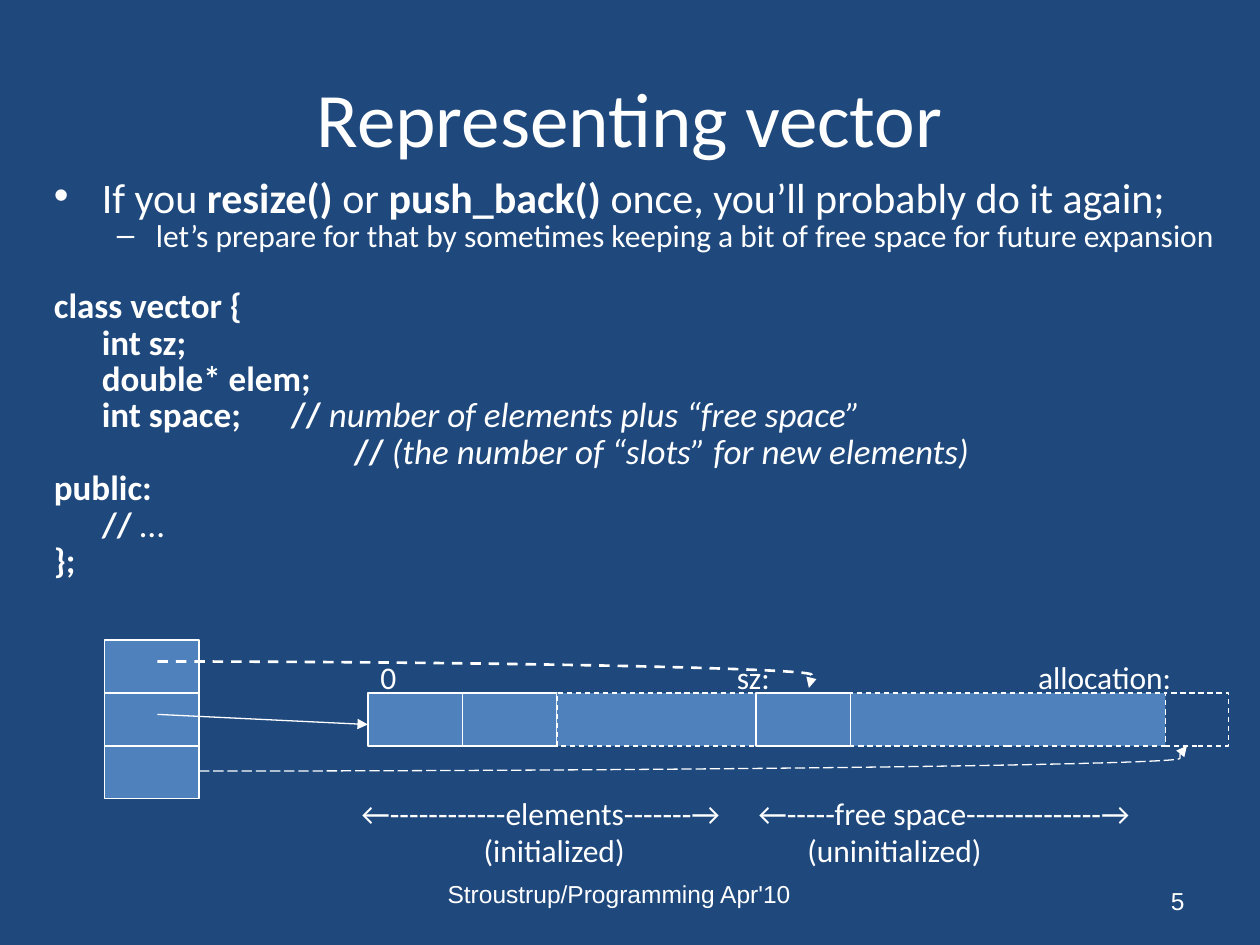
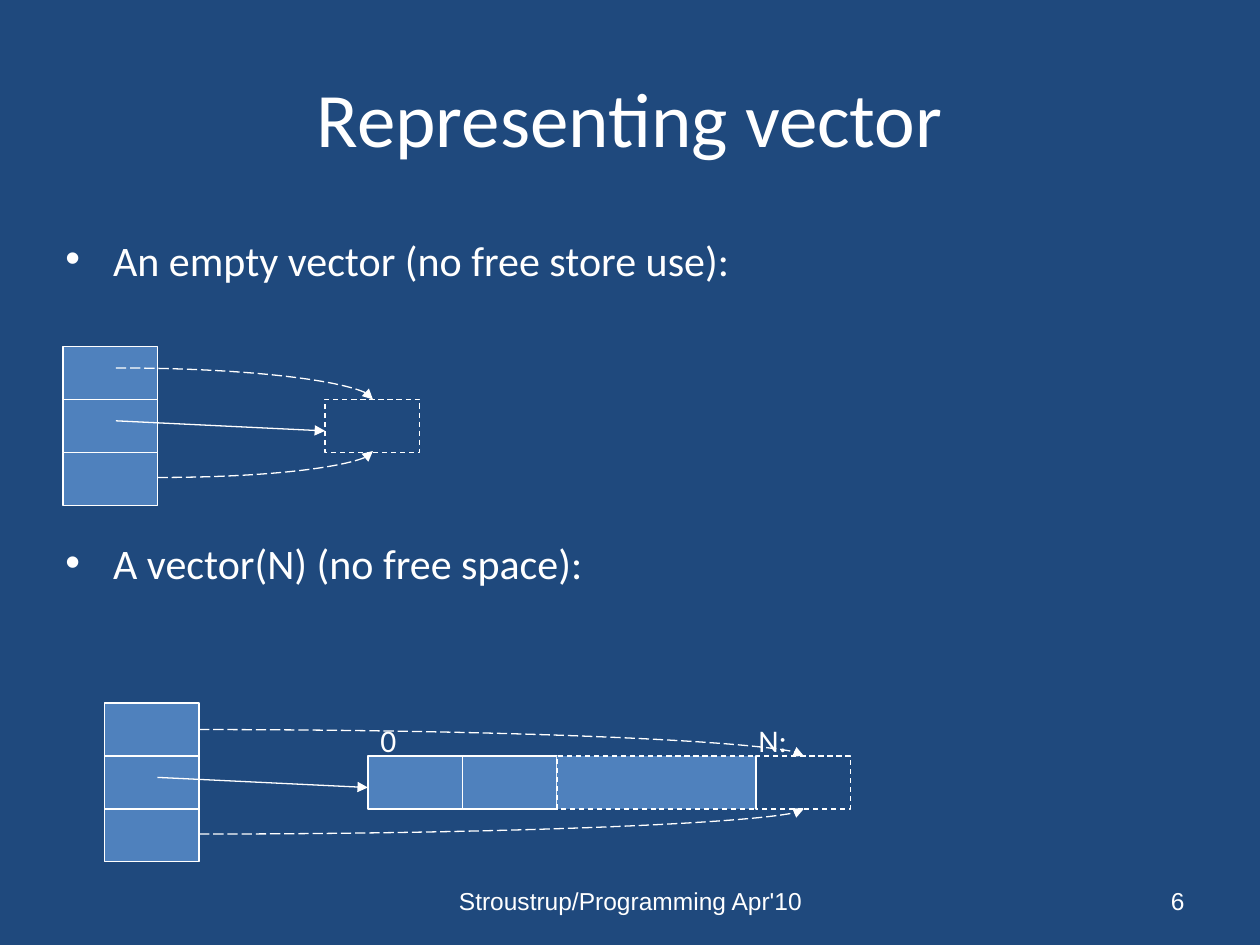
from lxml import etree
from pptx import Presentation
from pptx.dml.color import RGBColor
from pptx.enum.dml import MSO_LINE
from pptx.enum.shapes import MSO_CONNECTOR, MSO_SHAPE
from pptx.enum.text import MSO_ANCHOR, PP_ALIGN
from pptx.oxml.ns import qn
from pptx.util import Inches, Pt

NAVY = RGBColor(0x1F, 0x49, 0x7D)
BLUE = RGBColor(0x4F, 0x81, 0xBD)
WHITE = RGBColor(0xFF, 0xFF, 0xFF)

TITLE = "Representing vector"
FOOTER = "Stroustrup/Programming Apr'10"
CELL_WIDTH, CELL_HEIGHT = 0.75, 0.42
SOLID, DASHED, LONG_DASHED = None, MSO_LINE.DASH, MSO_LINE.LONG_DASH

# Paragraph kinds: size, left margin, first-line indent, bullet
KINDS = {
    "point": (24, 0.38, -0.38, "•"),
    "detail": (18, 0.81, -0.31, "–"),
    "code": (20, 0, 0, None),
    "member": (20, 0.38, 0, None),
    "comment": (20, 2.38, 0, None),
}

# Body paragraphs: kind, extra space before in points, runs of (text, style);
# style holds "b" for bold and "i" for italic.
# Cells: left, width, filled, dash.  Labels: left, text.
# Curves: start, end, preset, adjustment, width in points, dash.
SLIDES = [
    {
        "number": "5",
        "footer_box": (3.33, 6.83, 3.17, 0.52),
        "body_box": (0.33, 1.42, 9.5, 3.83),
        "body": [
            ("point", 0, [("If you ", ""), ("resize()", "b"), (" or ", ""),
                          ("push_back()", "b"),
                          (" once, you’ll probably do it again;", "")]),
            ("detail", 0, [("let’s prepare for that by sometimes keeping a bit "
                            "of free space for future expansion", "")]),
            ("code", 20, [("class vector {", "b")]),
            ("member", 0, [("int sz;", "b")]),
            ("member", 0, [("double* elem;", "b")]),
            ("member", 0, [("int space;\t// ", "b"),
                           ("number of elements plus “free space”", "i")]),
            ("comment", 0, [("// ", "b"),
                            ("(the number of “slots” for new elements)", "i")]),
            ("code", 0, [("public:", "b")]),
            ("member", 0, [("// ", "b"), ("…", "")]),
            ("code", 0, [("};", "b")]),
        ],
        "vectors": [{
            "header_left": 0.83,
            "row_top": 5.5,
            "cells": [
                (2.92, CELL_WIDTH, True, SOLID),
                (3.67, CELL_WIDTH, True, SOLID),
                (4.42, 1.58, True, DASHED),
                (6.75, 2.5, True, DASHED),
                (6, CELL_WIDTH, True, SOLID),
                (9.25, 0.5, False, DASHED),
            ],
            "labels": [(2.92, "0"), (5.75, "sz:"), (8.14, "allocation:")],
            "curves": [
                ((1.58, 6.12), (9.42, 5.92), "curvedConnector3", 99300,
                 0.75, LONG_DASHED),
                ((1.25, 5.25), (6.42, 5.46), "curvedConnector3", 100400,
                 1.5, DASHED),
            ],
        }],
        # left, width, span line, state line, indent of the state line
        "spans": [
            (2.77, 3.4, "←------------elements-------→", "(initialized)", 0.97),
            (5.92, 3.83, "←-----free space--------------→",
             "(uninitialized)", 0.39),
        ],
    },
    {
        "number": "6",
        "footer_box": (3.42, 6.95, 3.17, 0.4),
        "body_box": (0.42, 1.92, 5.5, 3.17),
        "body": [
            ("point", 0, [("An empty vector (no free store use):", "")]),
            ("point", 148.5, [("A vector(N) (no free space):", "")]),
        ],
        "vectors": [
            {
                "header_left": 0.83,
                "row_top": 6,
                "cells": [
                    (2.92, CELL_WIDTH, True, SOLID),
                    (3.67, CELL_WIDTH, True, SOLID),
                    (4.42, 1.58, True, DASHED),
                    (6, CELL_WIDTH, False, DASHED),
                ],
                "labels": [(2.92, "0"), (5.92, "N:")],
                "curves": [
                    ((1.58, 5.79), (6.38, 6), "curvedConnector2", None,
                     0.75, LONG_DASHED),
                    ((1.58, 6.62), (6.38, 6.42), "curvedConnector2", None,
                     0.75, LONG_DASHED),
                ],
            },
            {
                "header_left": 0.5,
                "row_top": 3.17,
                "cells": [(2.58, CELL_WIDTH, False, DASHED)],
                "labels": [],
                "curves": [
                    ((0.92, 2.92), (2.96, 3.17), "curvedConnector2", None,
                     0.75, LONG_DASHED),
                    ((1.25, 3.79), (2.96, 3.58), "curvedConnector2", None,
                     0.75, LONG_DASHED),
                ],
            },
        ],
        "spans": [],
    },
]


def set_font(paragraph, size, name="Calibri"):
    paragraph.font.size = Pt(size)
    paragraph.font.name = name
    paragraph.font.color.rgb = WHITE


def set_indent(paragraph, left, first=0, bullet=None):
    properties = paragraph._p.get_or_add_pPr()
    properties.set("marL", str(Inches(left)))
    properties.set("indent", str(Inches(first)))
    if bullet:
        etree.SubElement(properties, qn("a:buFont")).set("typeface", "Arial")
        etree.SubElement(properties, qn("a:buChar")).set("char", bullet)


def add_frame(slide, box, anchor=MSO_ANCHOR.TOP):
    frame = slide.shapes.add_textbox(*map(Inches, box)).text_frame
    frame.word_wrap = True
    frame.vertical_anchor = anchor
    return frame


def add_text(slide, box, text, size, name="Calibri", align=PP_ALIGN.LEFT,
             anchor=MSO_ANCHOR.TOP):
    frame = add_frame(slide, box, anchor)
    frame.text = text
    for paragraph in frame.paragraphs:
        paragraph.alignment = align
        set_font(paragraph, size, name)
    return frame


def add_body(slide, box, content):
    frame = add_frame(slide, box)
    for index, (kind, gap, runs) in enumerate(content):
        paragraph = frame.add_paragraph() if index else frame.paragraphs[0]
        size, left, first, bullet = KINDS[kind]
        set_indent(paragraph, left, first, bullet)
        paragraph.line_spacing = 0.7
        paragraph.space_before = Pt(0.2 * size + gap)
        set_font(paragraph, size)
        for text, style in runs:
            run = paragraph.add_run()
            run.text = text
            run.font.bold = "b" in style
            run.font.italic = "i" in style


def style_line(line, width, dash):
    line.color.rgb = WHITE
    line.width = Pt(width)
    if dash:
        line.dash_style = dash


def add_cell(slide, left, top, width=CELL_WIDTH, filled=True, dash=SOLID):
    cell = slide.shapes.add_shape(
        MSO_SHAPE.RECTANGLE, *map(Inches, (left, top, width, CELL_HEIGHT)))
    cell.shadow.inherit = False
    if filled:
        cell.fill.solid()
        cell.fill.fore_color.rgb = BLUE
    else:
        cell.fill.background()
    style_line(cell.line, 0.75, dash)


def add_arrow(slide, start, end, preset="line", adjustment=None, width=0.75,
              dash=SOLID):
    kind = MSO_CONNECTOR.STRAIGHT if preset == "line" else MSO_CONNECTOR.CURVE
    arrow = slide.shapes.add_connector(kind, *map(Inches, start + end))
    style_line(arrow.line, width, dash)
    properties = arrow._element.spPr
    geometry = properties.find(qn("a:prstGeom"))
    geometry.set("prst", preset)
    if adjustment:
        guide = etree.SubElement(geometry.find(qn("a:avLst")), qn("a:gd"))
        guide.set("name", "adj1")
        guide.set("fmla", f"val {adjustment}")
    outline = properties.find(qn("a:ln"))
    etree.SubElement(outline, qn("a:tailEnd")).set("type", "triangle")
    etree.SubElement(properties, qn("a:effectLst"))


def add_vector(slide, vector):
    """Draw the three-field header, its row of elements and the pointers."""
    left, top = vector["header_left"], vector["row_top"]
    for row in (-1, 0, 1):
        add_cell(slide, left, top + row * CELL_HEIGHT)
    for cell_left, width, filled, dash in vector["cells"]:
        add_cell(slide, cell_left, top, width, filled, dash)
    first_cell_left = vector["cells"][0][0]
    add_arrow(slide, (left + 0.42, top + 0.17), (first_cell_left, top + 0.25))
    for label_left, text in vector["labels"]:
        add_text(slide, (label_left, top - 0.33, 1.45, 0.4), text, 18)
    for curve in vector["curves"]:
        add_arrow(slide, *curve)


def add_slide(presentation, content):
    slide = presentation.slides.add_slide(presentation.slide_layouts[6])
    add_text(slide, (0.5, 0.3, 9, 1.25), TITLE, 44, align=PP_ALIGN.CENTER,
             anchor=MSO_ANCHOR.MIDDLE)
    add_body(slide, content["body_box"], content["body"])
    for vector in content["vectors"]:
        add_vector(slide, vector)
    for left, width, span, state, indent in content["spans"]:
        frame = add_text(slide, (left, 6.25, width, 0.7), f"{span}\n{state}", 18)
        set_indent(frame.paragraphs[1], indent)
    add_text(slide, content["footer_box"], FOOTER, 14, "Arial",
             PP_ALIGN.CENTER, MSO_ANCHOR.MIDDLE)
    add_text(slide, (7.17, 6.95, 2.33, 0.4), content["number"], 14, "Arial",
             PP_ALIGN.RIGHT, MSO_ANCHOR.MIDDLE)


def main():
    presentation = Presentation()
    presentation.slide_width = Inches(10)
    presentation.slide_height = Inches(7.5)
    background = presentation.slide_master.background.fill
    background.solid()
    background.fore_color.rgb = NAVY
    for content in SLIDES:
        add_slide(presentation, content)
    presentation.save("out.pptx")


if __name__ == "__main__":
    main()
